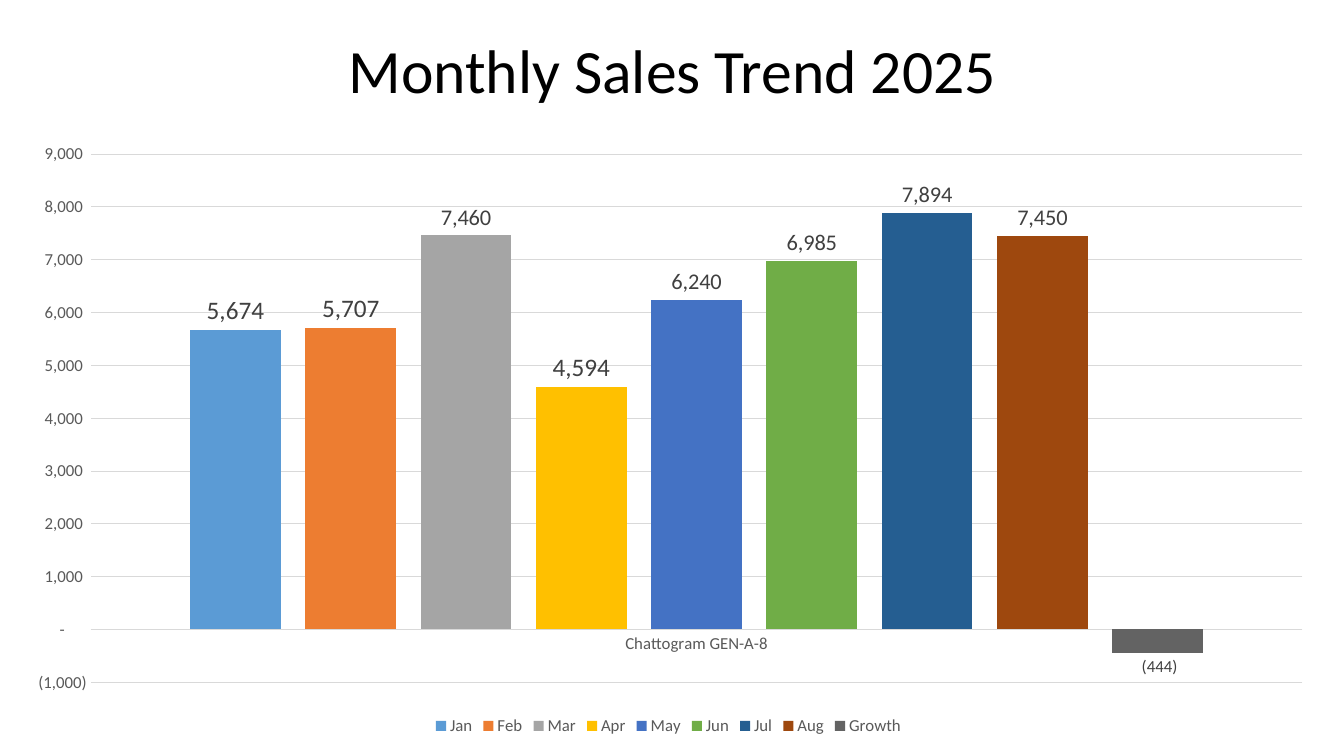
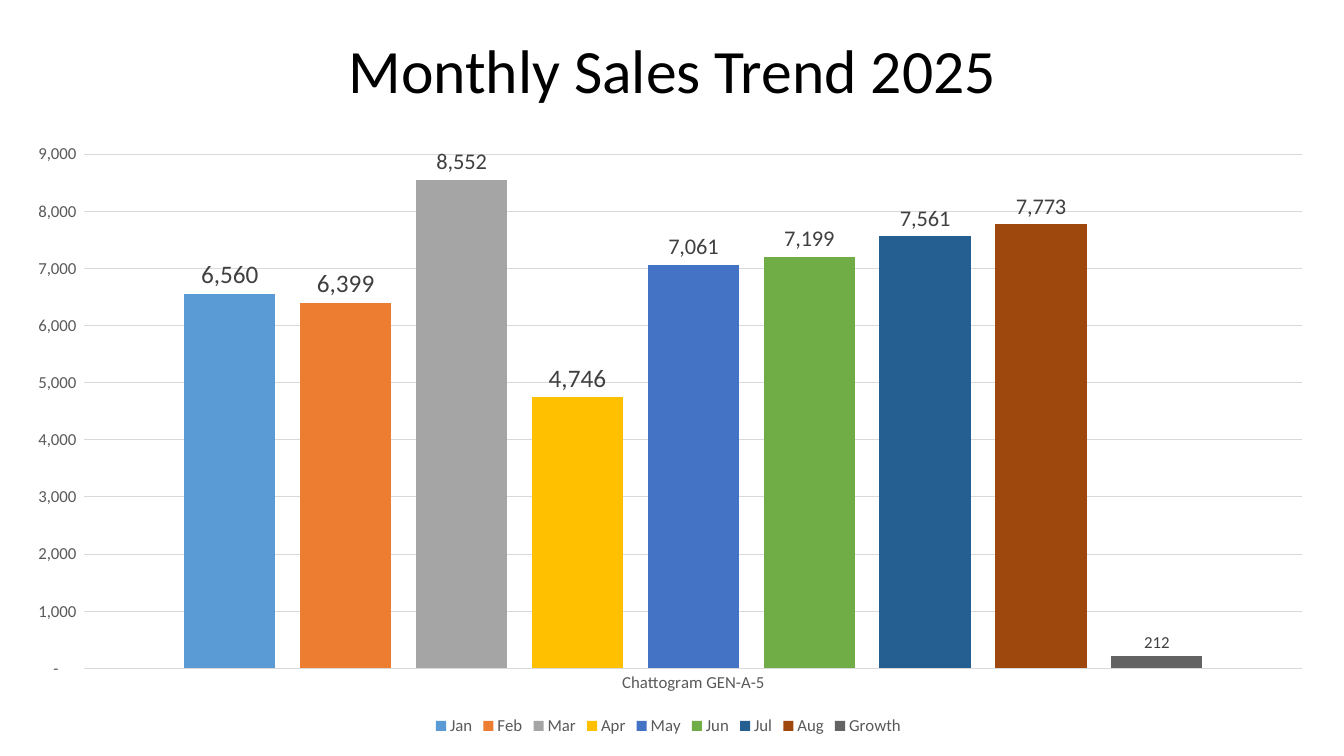
from pptx import Presentation
from pptx.chart.data import CategoryChartData
from pptx.dml.color import RGBColor
from pptx.enum.chart import XL_CHART_TYPE, XL_LABEL_POSITION, XL_LEGEND_POSITION, XL_TICK_MARK
from pptx.enum.text import MSO_ANCHOR, PP_ALIGN
from pptx.util import Inches, Pt

# Content
TITLE = "Monthly Sales Trend 2025"
SALES = [
    ("Chattogram GEN-A-8", [5674, 5707, 7460, 4594, 6240, 6985, 7894, 7450, -444]),
    ("Chattogram GEN-A-5", [6560, 6399, 8552, 4746, 7061, 7199, 7561, 7773, 212]),
]
# Series name and size of its data label
SERIES = [
    ("Jan", 18), ("Feb", 18), ("Mar", 16), ("Apr", 18), ("May", 16),
    ("Jun", 16), ("Jul", 16), ("Aug", 16), ("Growth", 12),
]

# Shared style
FONT = "Calibri"
NUMBER_FORMAT = '_(* #,##0_);_(* \\(#,##0\\);_(* "-"??_);_('
COLORS = {
    "title": "000000", "axis": "595959", "label": "404040", "grid": "D9D9D9",
    "Jan": "5B9BD5", "Feb": "ED7D31", "Mar": "A5A5A5", "Apr": "FFC000", "May": "4472C4",
    "Jun": "70AD47", "Jul": "255E91", "Aug": "9E480E", "Growth": "636363",
}
TITLE_BOX = [Inches(value) for value in (0.92, 0.15, 11.5, 1.16)]
CHART_BOX = [Inches(value) for value in (0.08, 1.31, 13.1, 6.03)]


def color(name):
    return RGBColor.from_string(COLORS[name])


def style_font(font, size, color_name):
    font.name = FONT
    font.size = Pt(size)
    font.color.rgb = color(color_name)


def style_line(line):
    line.color.rgb = color("grid")
    line.width = Pt(0.75)


def add_title(slide):
    title = slide.shapes.title
    title.left, title.top, title.width, title.height = TITLE_BOX
    title.text_frame.text = TITLE
    title.text_frame.vertical_anchor = MSO_ANCHOR.MIDDLE
    paragraph = title.text_frame.paragraphs[0]
    paragraph.alignment = PP_ALIGN.CENTER
    paragraph.line_spacing = 0.9
    style_font(paragraph.font, 44, "title")


def style_axes(chart):
    for axis in (chart.category_axis, chart.value_axis):
        axis.major_tick_mark = axis.minor_tick_mark = XL_TICK_MARK.NONE
        style_font(axis.tick_labels.font, 12, "axis")
    style_line(chart.category_axis.format.line)
    value_axis = chart.value_axis
    value_axis.format.line.fill.background()
    value_axis.has_major_gridlines = True
    style_line(value_axis.major_gridlines.format.line)
    value_axis.tick_labels.number_format = NUMBER_FORMAT
    value_axis.tick_labels.number_format_is_linked = False


def style_series(series, label_size):
    series.format.fill.solid()
    series.format.fill.fore_color.rgb = color(series.name)
    series.invert_if_negative = False
    labels = series.data_labels
    labels.show_value = True
    labels.position = XL_LABEL_POSITION.OUTSIDE_END
    labels.number_format = NUMBER_FORMAT
    labels.number_format_is_linked = False
    style_font(labels.font, label_size, "label")


def add_sales_chart(slide, category, values):
    chart_data = CategoryChartData(number_format=NUMBER_FORMAT)
    chart_data.categories = [category]
    for (name, _), value in zip(SERIES, values):
        chart_data.add_series(name, [value])
    chart = slide.shapes.add_chart(XL_CHART_TYPE.COLUMN_CLUSTERED, *CHART_BOX, chart_data).chart
    style_font(chart.font, 10, "title")
    chart.has_title = False
    chart.has_legend = True
    chart.legend.position = XL_LEGEND_POSITION.BOTTOM
    chart.legend.include_in_layout = False
    style_font(chart.legend.font, 12, "axis")
    style_axes(chart)
    plot = chart.plots[0]
    plot.gap_width = 219
    plot.overlap = -27
    plot.vary_by_categories = False
    for series, (_, label_size) in zip(plot.series, SERIES):
        style_series(series, label_size)


def main():
    presentation = Presentation()
    presentation.slide_width = Inches(13.33)
    presentation.slide_height = Inches(7.5)
    title_only = presentation.slide_layouts.get_by_name("Title Only")
    for category, values in SALES:
        slide = presentation.slides.add_slide(title_only)
        add_title(slide)
        add_sales_chart(slide, category, values)
    presentation.save("out.pptx")


if __name__ == "__main__":
    main()
